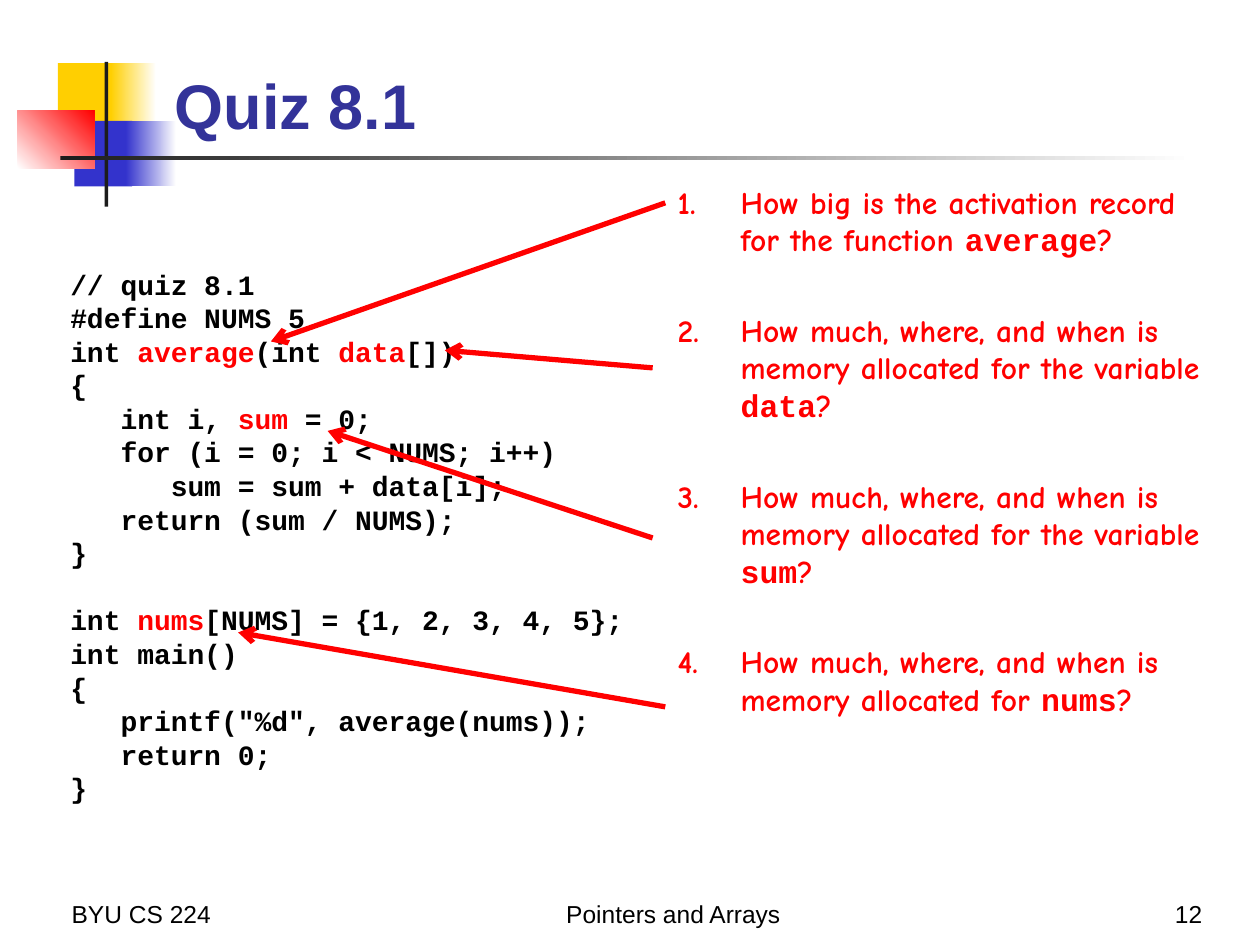
from dataclasses import dataclass

from lxml.etree import SubElement as Sub
from pptx import Presentation
from pptx.dml.color import RGBColor as Rgb
from pptx.enum.shapes import MSO_CONNECTOR as Conn, MSO_SHAPE as Form
from pptx.enum.text import MSO_ANCHOR as Anchor, PP_ALIGN as Align
from pptx.oxml.ns import qn
from pptx.util import Inches, Pt


@dataclass(frozen=True)
class Theme:
    ink: str = "000000"
    dark: str = "1C1C1C"
    red: str = "FF0000"
    gold: str = "FFCF01"
    blue: str = "3333CC"
    navy: str = "333399"
    white: str = "FFFFFF"
    sans: str = "Arial"
    hand: str = "Comic Neue"
    mono: str = "Courier New"
    title: int = 36
    ask: int = 18
    code: int = 16
    foot: int = 14
    code_line: float = 19.2
    ask_line: float = 21.6
    ask_gap: int = 30


class Deck:
    """Places elements on a grid of 100 columns by 75 rows."""

    cols, rows = 100, 75

    def __init__(self, theme):
        self.look = theme
        self.show = Presentation()
        self.show.slide_width, self.show.slide_height = Inches(10), Inches(7.5)
        self.page = self.show.slides.add_slide(self.show.slide_layouts[6])

    def col(self, num):
        return round(self.show.slide_width * num / self.cols)

    def row(self, num):
        return round(self.show.slide_height * num / self.rows)

    def area(self, x, y, w, h):
        return self.col(x), self.row(y), self.col(w), self.row(h)

    def block(self, area, start, end=None, angle=0):
        box = self.page.shapes.add_shape(Form.RECTANGLE, *self.area(*area))
        box.shadow.inherit = False
        box.line.fill.background()
        if end is None:
            box.fill.solid()
            box.fill.fore_color.rgb = Rgb.from_string(start)
            return
        box.fill.gradient()
        box.fill.gradient_angle = angle
        for stop, color in zip(box.fill.gradient_stops, (start, end)):
            stop.color.rgb = Rgb.from_string(color)
            
    def frame(self, area, anchor=Anchor.TOP):
        text = self.page.shapes.add_textbox(*self.area(*area)).text_frame
        text.word_wrap = True
        text.vertical_anchor = anchor
        return text

    def para(self, text, first):
        return text.paragraphs[0] if first else text.add_paragraph()

    def run(self, para, words, size, face, color, bold=True):
        for i, part in enumerate(words.split("\n")):
            if i:
                para.add_line_break()
            run = para.add_run()
            run.text = part
            font = run.font
            font.size, font.name, font.bold = Pt(size), face, bold
            font.color.rgb = Rgb.from_string(color)

    def label(self, area, words, size, color, align=Align.LEFT, bold=False):
        para = self.frame(area, Anchor.BOTTOM).paragraphs[0]
        para.alignment = align
        self.run(para, words, size, self.look.sans, color, bold)

    def code(self, area, parts):
        """Words between bars are shown in red; parts are set one line apart."""
        look, text = self.look, self.frame(area)
        for n, lines in enumerate(parts):
            for i, line in enumerate(lines):
                para = self.para(text, n + i == 0)
                para.line_spacing = Pt(look.code_line)
                if n and not i:
                    para.space_before = Pt(look.code_line)
                for k, words in enumerate(line.split("|")):
                    if words:
                        color = look.red if k % 2 else look.ink
                        self.run(para, words, look.code, look.mono, color)

    def quiz(self, area, items):
        """Words between bars are shown in the code font."""
        look, text = self.look, self.frame(area)
        for i, item in enumerate(items):
            para = self.para(text, i == 0)
            para.line_spacing = Pt(look.ask_line)
            if i:
                para.space_before = Pt(look.ask_gap)
            props = para._p.get_or_add_pPr()
            props.set("marL", str(self.col(5)))
            props.set("indent", str(-self.col(5)))
            Sub(props, qn("a:buFont"), typeface=look.hand)
            Sub(props, qn("a:buAutoNum"), type="arabicPeriod")
            for k, words in enumerate(item.split("|")):
                face = look.mono if k % 2 else look.hand
                self.run(para, words, look.ask, face, look.red)

    def arrow(self, x1, y1, x2, y2):
        line = self.page.shapes.add_connector(
            Conn.STRAIGHT, self.col(x1), self.row(y1), self.col(x2), self.row(y2))
        line.line.width = Pt(3)
        line.line.color.rgb = Rgb.from_string(self.look.red)
        Sub(line.line._get_or_add_ln(), qn("a:tailEnd"), type="arrow")
        Sub(line._element.spPr, qn("a:effectLst"))


CODE = [
    [
        "// quiz 8.1",
        "#define NUMS 5",
        "int |average|(int |data|[])",
        "{",
        "   int i, |sum| = 0;",
        "   for (i = 0; i < NUMS; i++)\n"
        "      sum = sum + data[i];\n"
        "   return (sum / NUMS);",
        "}",
    ],
    [
        "int |nums|[NUMS] = {1, 2, 3, 4, 5};",
        "int main()",
        "{",
        '   printf("%d", average(nums));',
        "   return 0;",
        "}",
    ],
]
WHEN = "How much, where, and when is memory allocated for "
ASKS = [
    "How big is the activation record for the function |average|?",
    WHEN + "the variable |data|?",
    WHEN + "the variable |sum|?",
    WHEN + "|nums|?",
]


def main():
    look = Theme()
    deck = Deck(look)

    # Corner blocks and rules
    deck.block((4.6, 5, 4.8, 5.2), look.gold)
    deck.block((8.8, 5, 3.6, 5.2), look.gold, look.white)
    deck.block((5.9, 9.6, 4.6, 5.2), look.blue)
    deck.block((10, 9.6, 4, 5.2), look.blue, look.white)
    deck.block((1.4, 8.8, 6.1, 4.6), look.white, look.red, 45)
    deck.block((8.3, 4.9, 0.3, 11.5), look.dark)
    deck.block((4.8, 12.4, 90, 0.3), look.dark, look.white)

    # Program
    deck.code((4.6, 20.7, 51.7, 44.1), CODE)

    # Footer
    for x, w, words, align in (
        (4.7, 20.8, "BYU CS 224", Align.LEFT),
        (27.8, 51.3, "Pointers and Arrays", Align.CENTER),
        (75.6, 20.8, "12", Align.RIGHT),
    ):
        deck.label((x, 69.2, w, 5), words, look.foot, look.ink, align)

    # Title
    deck.label((12.9, 2.3, 85.2, 9.5), "Quiz 8.1", look.title, look.navy, bold=True)

    # Arrows from questions to code
    for ends in (
        (52.8, 16.1, 21.5, 27.1),
        (51.8, 29.2, 35.3, 27.8),
        (51.8, 42.7, 26, 34.2),
        (52.8, 56.1, 18.9, 50.2),
    ):
        deck.arrow(*ends)

    # Questions
    deck.quiz((52.8, 14, 44, 50), ASKS)

    deck.show.save("out.pptx")


if __name__ == "__main__":
    main()
